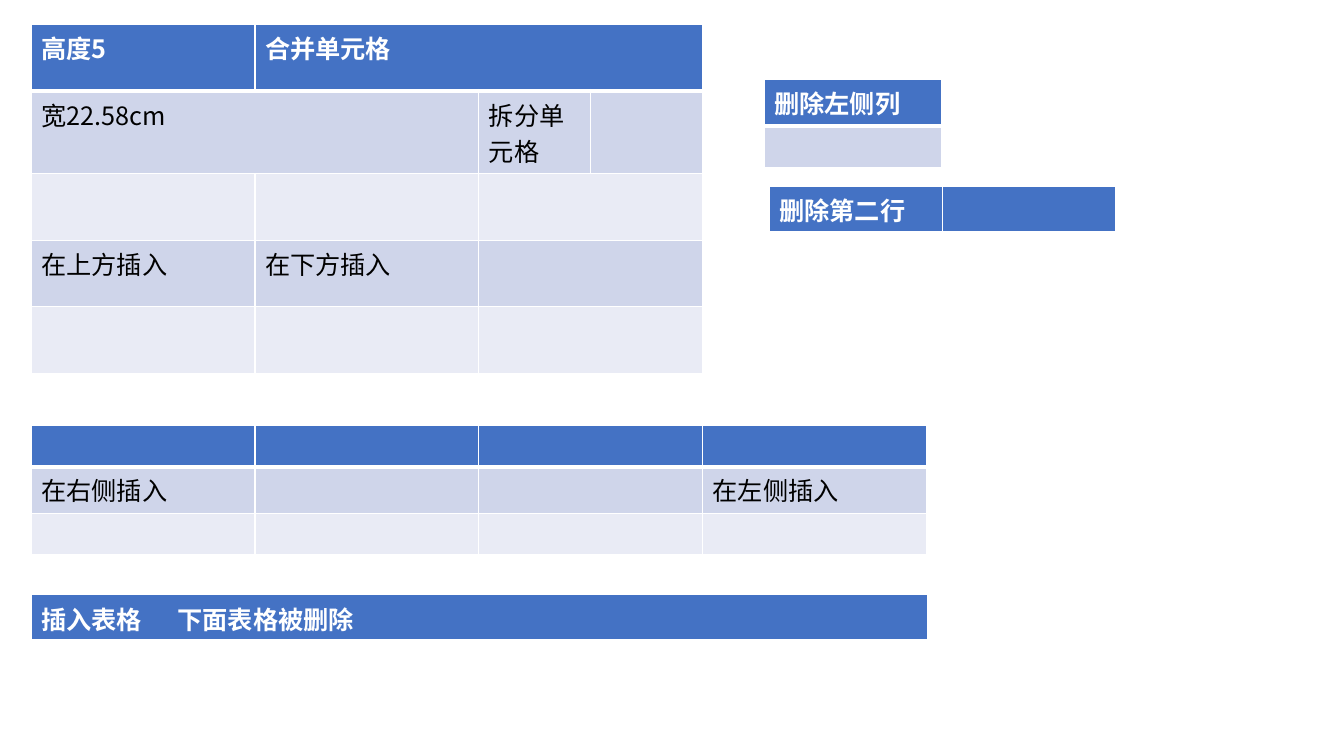
"""Build a slide of five tables that show how cells, rows and columns are edited."""
from lxml import etree
from pptx import Presentation
from pptx.dml.color import RGBColor
from pptx.oxml.ns import qn
from pptx.util import Inches, Pt

FONT = "Noto Sans CJK SC"
WHITE = RGBColor(0xFF, 0xFF, 0xFF)
BLACK = RGBColor(0, 0, 0)
HEADER = RGBColor(0x44, 0x72, 0xC4)
BANDS = (RGBColor(0xE9, 0xEB, 0xF5), RGBColor(0xCF, 0xD5, 0xEA))
TAB_STOP = Inches(1.35)

TABLES = [
    {
        "at": (0.31, 0.24), "columns": [2.22, 2.22, 1.11, 1.11], "row_height": 0.66,
        "rows": [
            ["高度5", "合并单元格", "", ""],
            ["宽22.58cm", "", "拆分单元格", ""],
            ["", "", "", ""],
            ["在上方插入", "在下方插入", "", ""],
            ["", "", "", ""],
        ],
        "merges": [(0, 1, 3), (1, 0, 1), (2, 2, 3), (3, 2, 3), (4, 2, 3)],
    },
    {
        "at": (0.31, 4.22), "columns": [2.22] * 4, "row_height": 0.41,
        "rows": [[""] * 4, ["在右侧插入", "", "", "在左侧插入"], [""] * 4],
    },
    {"at": (0.31, 5.9), "columns": [8.89], "row_height": 0.41,
     "rows": [["插入表格\t下面表格被删除"]]},
    {"at": (7.58, 0.79), "columns": [1.76], "row_height": 0.41,
     "rows": [["删除左侧列"], [""]]},
    {"at": (7.63, 1.85), "columns": [1.72, 1.72], "row_height": 0.41,
     "rows": [["删除第二行", ""]]},
]


def set_borders(cell, widths):
    """Draw white cell edges with the given point widths."""
    properties = cell._tc.get_or_add_tcPr()
    for position, (edge, width) in enumerate(widths.items()):
        line = etree.Element(qn(f"a:ln{edge}"), w=str(Pt(width)))
        fill = etree.SubElement(line, qn("a:solidFill"))
        etree.SubElement(fill, qn("a:srgbClr"), val=str(WHITE))
        properties.insert(position, line)


def write_text(cell, text, is_header):
    """Write the cell text in the header or body format."""
    paragraph = cell.text_frame.paragraphs[0]
    if "\t" in text:
        tabs = etree.SubElement(paragraph._p.get_or_add_pPr(), qn("a:tabLst"))
        etree.SubElement(tabs, qn("a:tab"), pos=str(TAB_STOP), algn="l")
    run = paragraph.add_run()
    run.text = text
    for name, value in {"name": FONT, "size": Pt(18), "bold": is_header}.items():
        setattr(run.font, name, value)
    run.font.color.rgb = WHITE if is_header else BLACK
    etree.SubElement(run.font._element, qn("a:ea"), typeface=FONT)


def add_table(slide, content):
    """Add one table with a header row and banded body rows."""
    rows, columns, height = content["rows"], content["columns"], content["row_height"]
    left, top = content["at"]
    table = slide.shapes.add_table(
        len(rows), len(columns), Inches(left), Inches(top),
        Inches(sum(columns)), Inches(height * len(rows))).table
    for column, width in zip(table.columns, columns):
        column.width = Inches(width)
    for row_index, texts in enumerate(rows):
        table.rows[row_index].height = Inches(height)
        is_header = row_index == 0
        widths = {"L": 1, "R": 1, "T": 3 if row_index == 1 else 1,
                  "B": 3 if is_header else 1}
        for column_index, text in enumerate(texts):
            cell = table.cell(row_index, column_index)
            cell.fill.solid()
            cell.fill.fore_color.rgb = HEADER if is_header else BANDS[row_index % 2]
            set_borders(cell, widths)
            if text:
                write_text(cell, text, is_header)
    for row, first, last in content.get("merges", []):
        table.cell(row, first).merge(table.cell(row, last))


presentation = Presentation()
presentation.slide_width = Inches(13.33)
presentation.slide_height = Inches(7.5)
slide = presentation.slides.add_slide(presentation.slide_layouts[6])
for content in TABLES:
    add_table(slide, content)
presentation.save("out.pptx")
